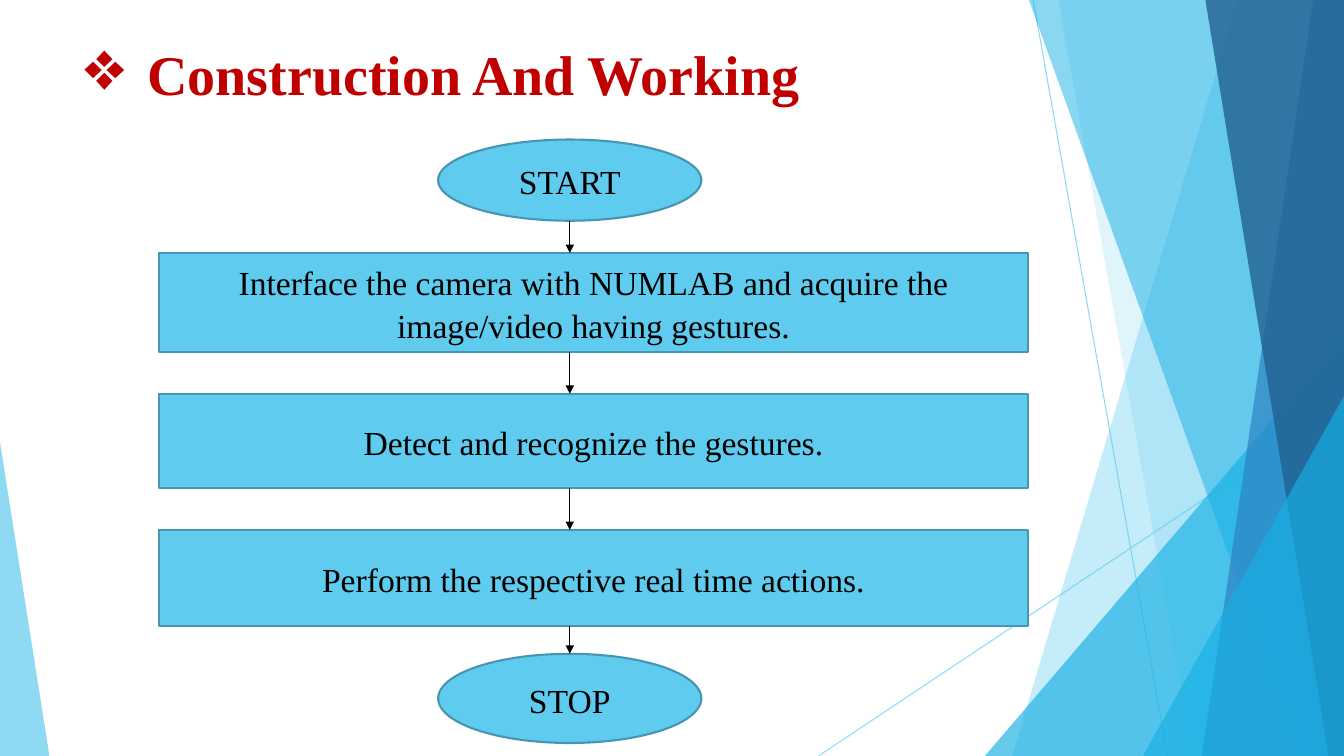
from dataclasses import dataclass
from typing import Any, Union

import pptx
import pptx.dml.color
import pptx.enum.shapes
import pptx.enum.text
import pptx.oxml.ns
import pptx.util
from lxml import etree

Pt = pptx.util.Pt
RGBColor = pptx.dml.color.RGBColor
Shape = pptx.enum.shapes.MSO_SHAPE
Align = pptx.enum.text.PP_ALIGN
Anchor = pptx.enum.text.MSO_ANCHOR
qn = pptx.oxml.ns.qn

WIDTH, HEIGHT = 960, 540
FONT = "Times New Roman"
SKY = RGBColor(0x5F, 0xCB, 0xEF)
CYAN = RGBColor(0x17, 0xB0, 0xE4)
BLUE = RGBColor(0x2E, 0x83, 0xC3)
NAVY = RGBColor(0x22, 0x62, 0x92)
OUTLINE = RGBColor(0x46, 0x96, 0xB1)
RED = RGBColor(0xC0, 0x00, 0x00)
BLACK = RGBColor(0x00, 0x00, 0x00)


@dataclass
class Band:
    """Slanted edge from top to bottom, filled to the right slide edge."""
    top_x: float
    bottom_x: float
    color: RGBColor
    opacity: int


@dataclass
class Wedge:
    """Triangle standing on the bottom slide edge."""
    left: float
    top: float
    width: float
    apex: float
    color: RGBColor
    opacity: int


@dataclass
class Step:
    kind: Any
    left: float
    top: float
    width: float
    height: float
    text: str

    @property
    def bottom(self) -> float:
        return self.top + self.height


def terminal(top: float, height: float, text: str) -> Step:
    return Step(Shape.OVAL, 313, top, 188, height, text)


def process(top: float, height: float, text: str) -> Step:
    return Step(Shape.RECTANGLE, 113.5, top, 621, height, text)


FACETS = [
    Band(884, 723, SKY, 36),
    Band(756, 852, SKY, 20),
    Wedge(703.5, 240, 256.5, 1, CYAN, 66),
    Band(735, 929.5, CYAN, 50),
    Band(938, 858.5, BLUE, 70),
    Band(861, 949, NAVY, 80),
    Wedge(816.5, 283, 143.5, 1, CYAN, 66),
    Wedge(0, 316, 35.3, 0, SKY, 70),
]

STEPS = [
    terminal(99.7, 58, "START"),
    process(180.7, 70.5, "Interface the camera with NUMLAB and acquire the "
                         "image/video having gestures."),
    process(281.2, 67.4, "Detect and recognize the gestures."),
    process(378.5, 68.8, "Perform the respective real time actions."),
    terminal(467, 63.7, "STOP"),
]
FLOW_X = 407


def set_opacity(shape: Any, percent: int) -> None:
    color = shape._element.spPr.find(".//" + qn("a:srgbClr"))
    etree.SubElement(color, qn("a:alpha"), val=str(percent * 1000))


def add_line(slide: Any, start: tuple, end: tuple, color: RGBColor, width: float) -> Any:
    line = slide.shapes.add_connector(
        pptx.enum.shapes.MSO_CONNECTOR.STRAIGHT,
        Pt(start[0]), Pt(start[1]), Pt(end[0]), Pt(end[1]))
    line.line.color.rgb = color
    line.line.width = Pt(width)
    etree.SubElement(line._element.spPr, qn("a:effectLst"))
    return line


def add_facet(slide: Any, facet: Union[Band, Wedge]) -> None:
    if isinstance(facet, Band):
        builder = slide.shapes.build_freeform(Pt(facet.top_x), 0)
        corners = [(WIDTH, 0), (WIDTH, HEIGHT), (facet.bottom_x, HEIGHT)]
        builder.add_line_segments([(Pt(x), Pt(y)) for x, y in corners])
        shape = builder.convert_to_shape()
    else:
        shape = slide.shapes.add_shape(
            Shape.ISOSCELES_TRIANGLE, Pt(facet.left), Pt(facet.top),
            Pt(facet.width), Pt(HEIGHT - facet.top))
        shape.adjustments[0] = facet.apex
    shape.shadow.inherit = False
    shape.fill.solid()
    shape.fill.fore_color.rgb = facet.color
    shape.line.fill.background()
    set_opacity(shape, facet.opacity)


def add_title(slide: Any, text: str) -> None:
    box = slide.shapes.add_textbox(Pt(53.3), Pt(24.5), Pt(707), Pt(103.7))
    box.text_frame.word_wrap = True
    paragraph = box.text_frame.paragraphs[0]
    paragraph.text = text
    paragraph.font.name = FONT
    paragraph.font.size = Pt(40)
    paragraph.font.bold = True
    paragraph.font.color.rgb = RED
    properties = paragraph._p.get_or_add_pPr()
    properties.set("marL", str(Pt(45)))
    properties.set("indent", str(Pt(-45)))
    properties.insert(0, etree.Element(qn("a:buSzPct"), val="125000"))
    properties.insert(1, etree.Element(qn("a:buChar"), char="❖"))


def add_step(slide: Any, step: Step) -> None:
    shape = slide.shapes.add_shape(
        step.kind, Pt(step.left), Pt(step.top), Pt(step.width), Pt(step.height))
    shape.shadow.inherit = False
    shape.fill.solid()
    shape.fill.fore_color.rgb = SKY
    shape.line.color.rgb = OUTLINE
    shape.line.width = Pt(1.5)
    shape.text_frame.word_wrap = True
    shape.text_frame.vertical_anchor = Anchor.MIDDLE
    paragraph = shape.text_frame.paragraphs[0]
    paragraph.text = step.text
    paragraph.alignment = Align.CENTER
    paragraph.line_spacing = 1.07
    paragraph.space_after = Pt(8)
    paragraph.font.name = FONT
    paragraph.font.size = Pt(24)
    paragraph.font.color.rgb = BLACK


def add_arrow(slide: Any, top: float, bottom: float) -> None:
    arrow = add_line(slide, (FLOW_X, top), (FLOW_X, bottom), BLACK, 1)
    etree.SubElement(arrow.line._get_or_add_ln(), qn("a:tailEnd"), type="triangle")


def main() -> None:
    presentation = pptx.Presentation()
    presentation.slide_width = Pt(WIDTH)
    presentation.slide_height = Pt(HEIGHT)
    slide = presentation.slides.add_slide(presentation.slide_layouts[6])

    # Background facets
    for start, end in [((738, 0), (834, HEIGHT)), ((WIDTH, 290), (584.6, HEIGHT))]:
        set_opacity(add_line(slide, start, end, SKY, 0.75), 70)
    for facet in FACETS:
        add_facet(slide, facet)

    # Title and flowchart
    add_title(slide, "Construction And Working")
    for step in STEPS:
        add_step(slide, step)
    for upper, lower in zip(STEPS, STEPS[1:]):
        add_arrow(slide, upper.bottom, lower.top)

    presentation.save("out.pptx")


if __name__ == "__main__":
    main()
